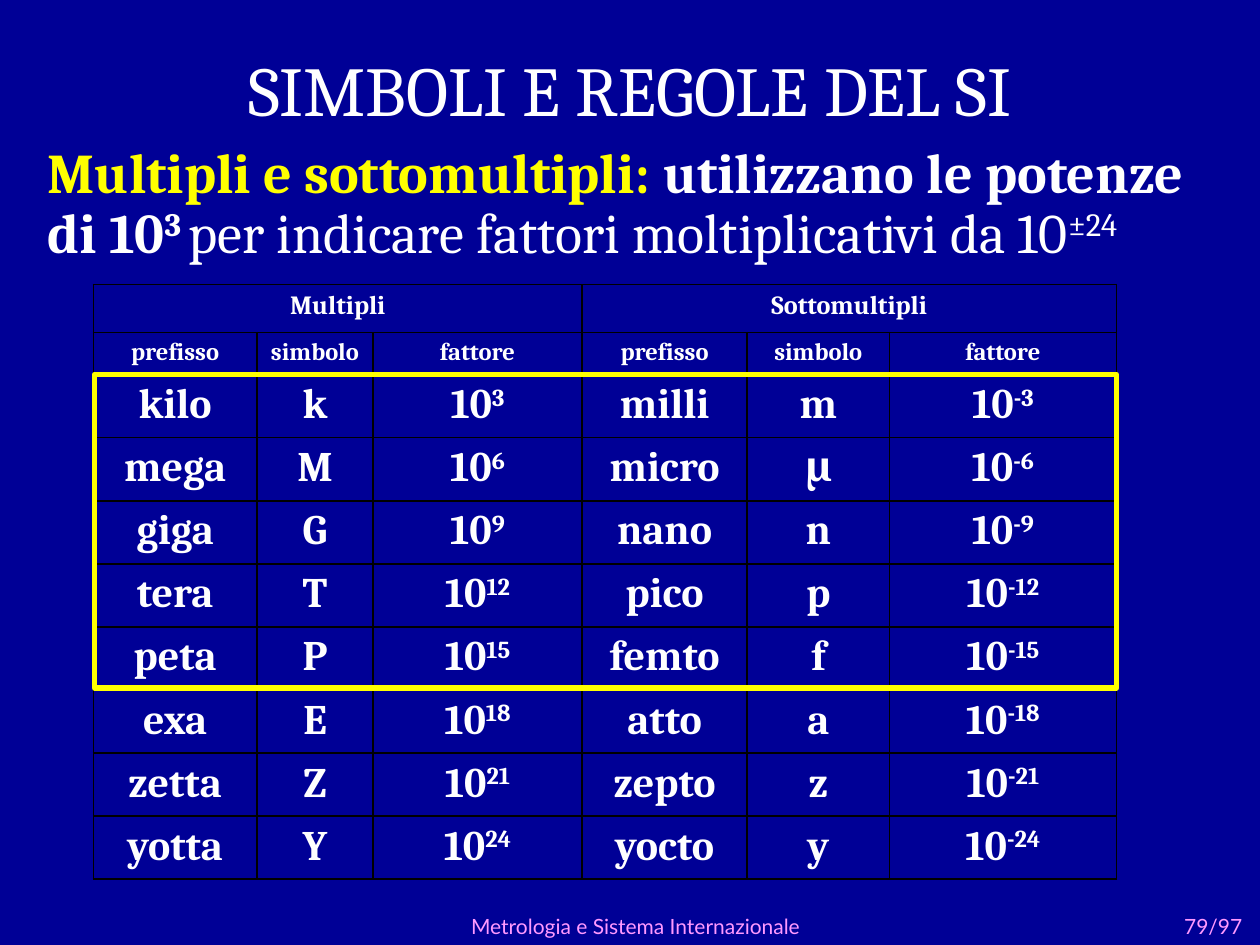
from lxml import etree
from pptx import Presentation
from pptx.dml.color import RGBColor
from pptx.enum.shapes import MSO_SHAPE as Shape
from pptx.enum.text import MSO_ANCHOR as Anchor, PP_ALIGN as Align
from pptx.oxml.ns import qn
from pptx.util import Inches, Pt

BLUE, WHITE, YELLOW, PINK, BLACK = "000096", "FFFFFF", "FFFF00", "FF99FF", "000000"


def colour(value):
    return RGBColor.from_string(value)


def add_span(para, text, size=24, font="Cambria", ink=WHITE, bold=False, raised=False):
    span = para.add_run()
    span.text = text
    span.font.size = Pt(size)
    span.font.name = font
    span.font.bold = bold
    span.font.color.rgb = colour(ink)
    if raised:
        span._r.get_or_add_rPr().set("baseline", "30000")


class SlideBuilder:
    def __init__(self, deck, background):
        self.page = deck.slides.add_slide(deck.slide_layouts[6])
        self.page.background.fill.solid()
        self.page.background.fill.fore_color.rgb = colour(background)

    def text(self, place, spans, align=Align.LEFT, anchor=Anchor.TOP, spacing=None):
        box = self.page.shapes.add_textbox(*map(Inches, place))
        box.text_frame.word_wrap = True
        box.text_frame.vertical_anchor = anchor
        para = box.text_frame.paragraphs[0]
        para.alignment = align
        if spacing:
            para.line_spacing = spacing
        for text, style in spans:
            add_span(para, text, **style)

    def frame(self, place, ink, width):
        box = self.page.shapes.add_shape(Shape.RECTANGLE, *map(Inches, place))
        box.shadow.inherit = False
        box.fill.background()
        box.line.color.rgb = colour(ink)
        box.line.width = Pt(width)

    def table(self, place, widths, heights):
        shape = self.page.shapes.add_table(len(heights), len(widths), *map(Inches, place))
        table = shape.table
        table.first_row = table.horz_banding = False
        for column, width in zip(table.columns, widths):
            column.width = Inches(width)
        for row, height in zip(table.rows, heights):
            row.height = Inches(height)
        for cell in table.iter_cells():
            cell.fill.background()
            self.borders(cell, BLACK, 1)
        return table

    def borders(self, cell, ink, width):
        properties = cell._tc.get_or_add_tcPr()
        for index, side in enumerate(("a:lnL", "a:lnR", "a:lnT", "a:lnB")):
            line = etree.Element(qn(side), w=str(Pt(width)))
            fill = etree.SubElement(line, qn("a:solidFill"))
            etree.SubElement(fill, qn("a:srgbClr"), val=ink)
            properties.insert(index, line)

    def cell(self, cell, text, power=None, size=24):
        para = cell.text_frame.paragraphs[0]
        para.alignment = Align.CENTER
        add_span(para, text, size=size, bold=True)
        if power is not None:
            add_span(para, str(power), size=size, bold=True, raised=True)


PREFIXES = [
    ("kilo", "k", "milli", "m"),
    ("mega", "M", "micro", "μ"),
    ("giga", "G", "nano", "n"),
    ("tera", "T", "pico", "p"),
    ("peta", "P", "femto", "f"),
    ("exa", "E", "atto", "a"),
    ("zetta", "Z", "zepto", "z"),
    ("yotta", "Y", "yocto", "y"),
]


def main():
    deck = Presentation()
    deck.slide_width, deck.slide_height = Inches(10), Inches(7.5)
    slide = SlideBuilder(deck, BLUE)

    # Footer and page number
    small = dict(size=12, font="Lato", ink=PINK)
    slide.text((9.3, 7.2, 0.7, 0.3), [("79/97", small)])
    slide.text((0.8, 7.24, 8.49, 0.26), [("Metrologia e Sistema Internazionale", small)],
               align=Align.CENTER, anchor=Anchor.BOTTOM)

    # Title and introduction
    slide.text((0, 0.35, 10, 0.71), [("SIMBOLI E REGOLE DEL SI", dict(size=40))],
               align=Align.CENTER, anchor=Anchor.MIDDLE)
    plain = dict(size=32)
    strong = dict(size=32, bold=True)
    slide.text((0.28, 1.1, 9.57, 1.07), [
        ("Multipli e sottomultipli: ", dict(strong, ink=YELLOW)),
        ("utilizzano le potenze di 10", strong),
        ("3 ", dict(strong, raised=True)),
        ("per indicare fattori moltiplicativi da 10", plain),
        ("±24", dict(plain, raised=True)),
    ], spacing=0.9)

    # Table: multiples in the left half, submultiples in the right half
    widths = [1.3, 0.92, 1.66, 1.31, 1.13, 1.8]
    heights = [0.38, 0.33] + [0.48] * len(PREFIXES)
    table = slide.table((0.74, 2.26, sum(widths), sum(heights)), widths, heights)
    for half, (heading, sign) in enumerate([("Multipli", 1), ("Sottomultipli", -1)]):
        first = 3 * half
        table.cell(0, first).merge(table.cell(0, first + 2))
        slide.cell(table.cell(0, first), heading, size=15)
        for offset, label in enumerate(("prefisso", "simbolo", "fattore")):
            slide.cell(table.cell(1, first + offset), label, size=14)
        for step, names in enumerate(PREFIXES, start=1):
            prefix, symbol = names[2 * half:2 * half + 2]
            slide.cell(table.cell(step + 1, first), prefix)
            slide.cell(table.cell(step + 1, first + 1), symbol)
            slide.cell(table.cell(step + 1, first + 2), "10", power=sign * 3 * step)

    # Highlight around the most common prefixes
    slide.frame((0.75, 2.97, 8.11, 2.49), YELLOW, 3)

    deck.save("out.pptx")


if __name__ == "__main__":
    main()
